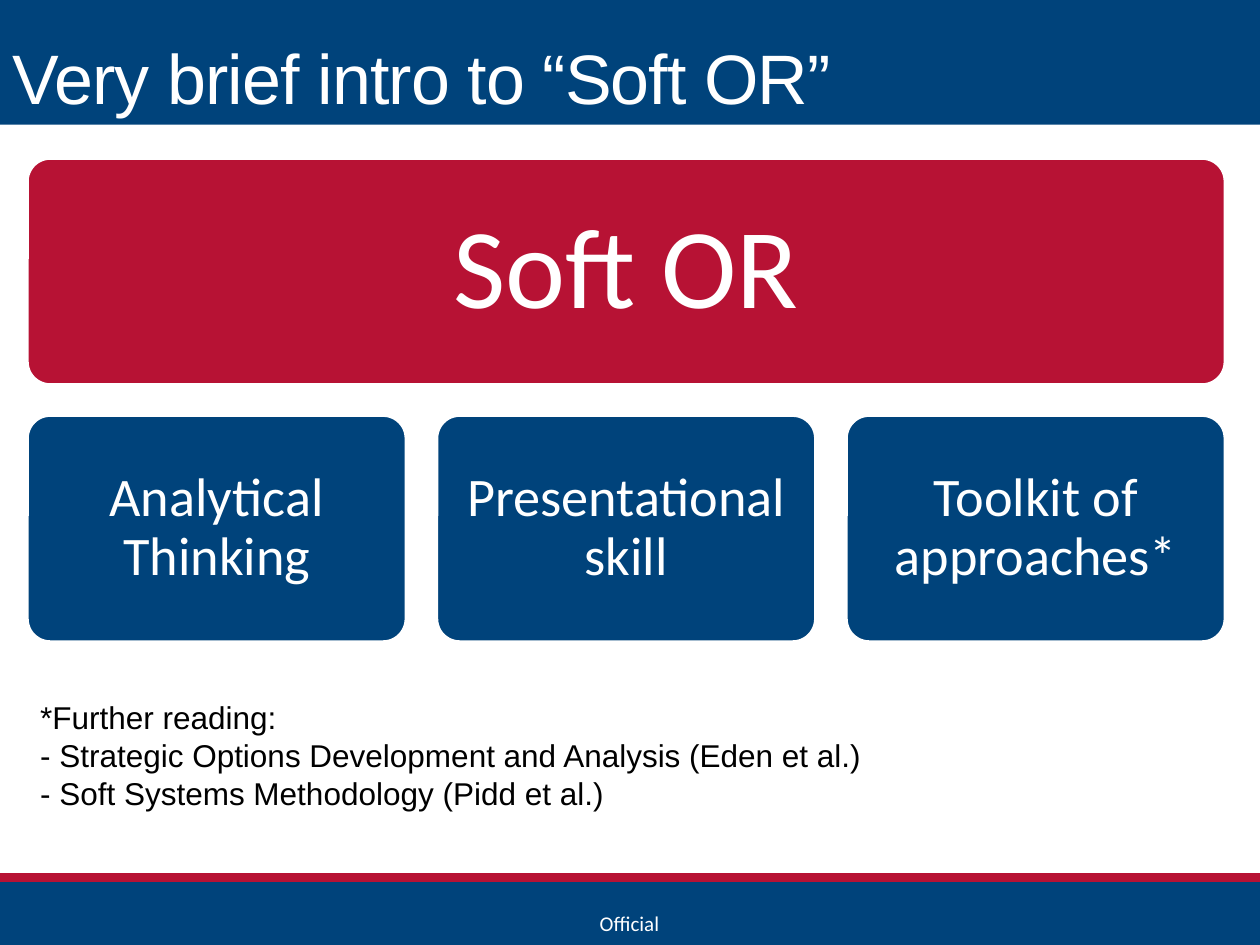
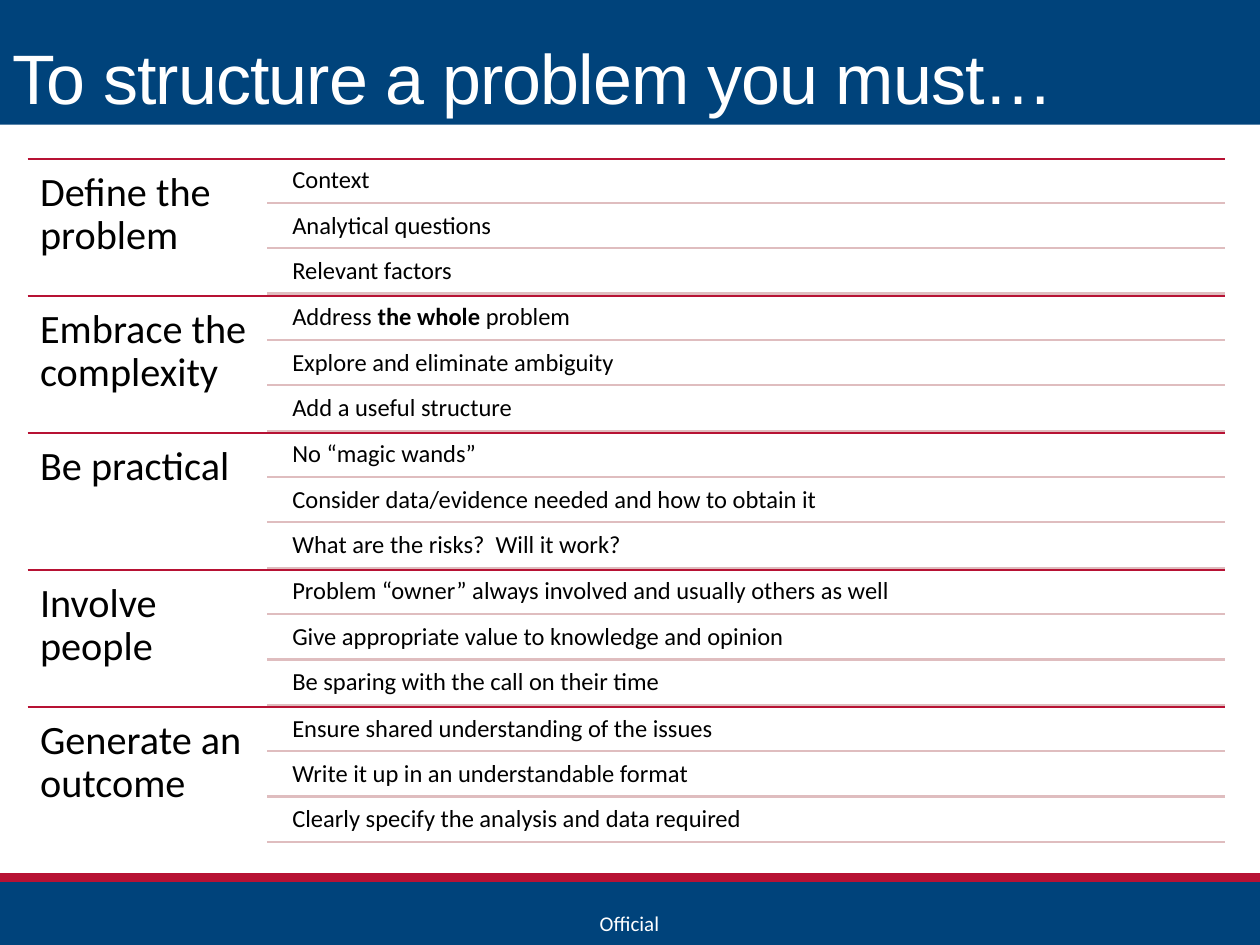
"""Build two slides on soft OR and how to structure a problem."""
import pptx
import pptx.dml.color
import pptx.enum.shapes
import pptx.enum.text
import pptx.oxml
import pptx.util

Inches = pptx.util.Inches
Pt = pptx.util.Pt
RGBColor = pptx.dml.color.RGBColor
Align = pptx.enum.text.PP_ALIGN
Anchor = pptx.enum.text.MSO_ANCHOR
Fit = pptx.enum.text.MSO_AUTO_SIZE
Kind = pptx.enum.shapes.MSO_SHAPE
Join = pptx.enum.shapes.MSO_CONNECTOR

BLUE = RGBColor(0x00, 0x43, 0x7B)
RED = RGBColor(0xB7, 0x12, 0x34)
PINK = RGBColor(0xDF, 0xBD, 0xBF)
WHITE = RGBColor(0xFF, 0xFF, 0xFF)
BLACK = RGBColor(0x00, 0x00, 0x00)

EFFECTS = ('<a:effectLst xmlns:a='
           '"http://schemas.openxmlformats.org/drawingml/2006/main"/>')
SIDES = ("left", "top", "right", "bottom")

LEFT, RIGHT, TOP = 0.22, 9.72, 1.26
WIDE = RIGHT - LEFT

STEPS = [
    ("Define the problem",
     ["Context", "Analytical questions", "Relevant factors"]),
    ("Embrace the complexity",
     ["Address |the whole |problem", "Explore and eliminate ambiguity",
      "Add a useful structure"]),
    ("Be practical",
     ["No “magic wands”",
      "Consider data/evidence needed and how to obtain it",
      "What are the risks?  Will it work?"]),
    ("Involve people",
     ["Problem “owner” always involved and usually others as well",
      "Give appropriate value to knowledge and opinion",
      "Be sparing with the call on their time"]),
    ("Generate an outcome",
     ["Ensure shared understanding of the issues",
      "Write it up in an understandable format",
      "Clearly specify the analysis and data required"]),
]


class Deck:
    def __init__(self):
        self.prs = pptx.Presentation()
        self.prs.slide_width = Inches(10)
        self.prs.slide_height = Inches(7.5)
        self.slide = None

    def page(self, title):
        self.slide = self.prs.slides.add_slide(self.prs.slide_layouts[5])
        self.block((0, 7, 10, 0.5), BLUE)
        self.block((0, 6.93, 10, 0.07), RED)
        self.text((4.76, 7.23, 0.52, 0.2), "Official", 12, pad=0, color=WHITE)
        self.block((0, 0, 10, 0.99), BLUE)
        self.title(title)

    def title(self, words):
        head = self.slide.shapes.title
        self.slide.shapes.element.append(head.element)
        place = dict(left=0, top=0, width=10, height=0.99)
        for key, val in place.items():
            setattr(head, key, Inches(val))
        self.letter(head, words, 40, face="Arial", color=WHITE,
                    space=0.85, anchor=Anchor.BOTTOM)
        for run in head.text_frame.paragraphs[0].runs:
            run._r.get_or_add_rPr().set("spc", "-50")

    def block(self, box, fill, kind=Kind.RECTANGLE):
        shape = self.slide.shapes.add_shape(kind, *map(Inches, box))
        shape.shadow.inherit = False
        shape.fill.solid()
        shape.fill.fore_color.rgb = fill
        shape.line.fill.background()
        return shape

    def card(self, box, fill, words, size, pad):
        shape = self.block(box, fill, Kind.ROUNDED_RECTANGLE)
        shape.adjustments[0] = 0.1
        shape.line.color.rgb = WHITE
        shape.line.width = Pt(1.25)
        self.letter(shape, words, size, pad, color=WHITE, space=0.9,
                    align=Align.CENTER, anchor=Anchor.MIDDLE)

    def text(self, box, words, size, pad=None, **form):
        shape = self.slide.shapes.add_textbox(*map(Inches, box))
        self.letter(shape, words, size, pad, **form)

    def letter(self, shape, words, size, pad=None, face="Calibri", color=BLACK,
               space=1.0, align=Align.LEFT, anchor=Anchor.TOP, wrap=True):
        frame = shape.text_frame
        form = dict(word_wrap=wrap, auto_size=Fit.NONE, vertical_anchor=anchor)
        if pad is not None:
            form.update({f"margin_{side}": Inches(pad) for side in SIDES})
        for key, val in form.items():
            setattr(frame, key, val)
        for num, line in enumerate(words.split("\n")):
            para = frame.add_paragraph() if num else frame.paragraphs[0]
            para.alignment = align
            para.line_spacing = space
            for turn, part in enumerate(line.split("|")):
                run = para.add_run()
                run.text = part
                font = dict(name=face, size=Pt(size), bold=turn % 2 == 1)
                for key, val in font.items():
                    setattr(run.font, key, val)
                run.font.color.rgb = color

    def rule(self, start, y, color):
        line = self.slide.shapes.add_connector(
            Join.STRAIGHT, *map(Inches, (start, y, RIGHT, y)))
        line.line.color.rgb = color
        line.line.width = Pt(1.25)
        line.element.spPr.append(pptx.oxml.parse_xml(EFFECTS))


def intro(deck):
    deck.page("Very brief intro to “Soft OR”")
    deck.card((LEFT, TOP, WIDE, 1.79), RED, "Soft OR", 65, 0.27)
    skills = ["Analytical Thinking", "Presentational skill",
              "Toolkit of approaches*"]
    for num, skill in enumerate(skills):
        deck.card((LEFT + 3.25 * num, 3.3, 3, 1.79), BLUE, skill, 31, 0.13)
    deck.text((LEFT, 5.49, 6.78, 1.01),
              "*Further reading:\n"
              "- Strategic Options Development and Analysis (Eden et al.)\n"
              "- Soft Systems Methodology (Pidd et al.)",
              18, face="Arial", wrap=False)


def steps(deck):
    deck.page("To structure a problem you must…")
    pitch = 5.44 / len(STEPS)
    for num, (name, points) in enumerate(STEPS):
        top = TOP + pitch * num
        deck.rule(LEFT, top, RED)
        deck.text((LEFT, top, 1.9, pitch), name, 23, 0.1, space=0.9)
        for row, point in enumerate(points):
            y = top + 0.36 * row
            deck.text((2.26, y + 0.01, 7.45, 0.34), point, 14, 0.06, space=0.9)
            deck.rule(2.12, y + 0.35, PINK)


def main():
    deck = Deck()
    intro(deck)
    steps(deck)
    deck.prs.save("out.pptx")


if __name__ == "__main__":
    main()
